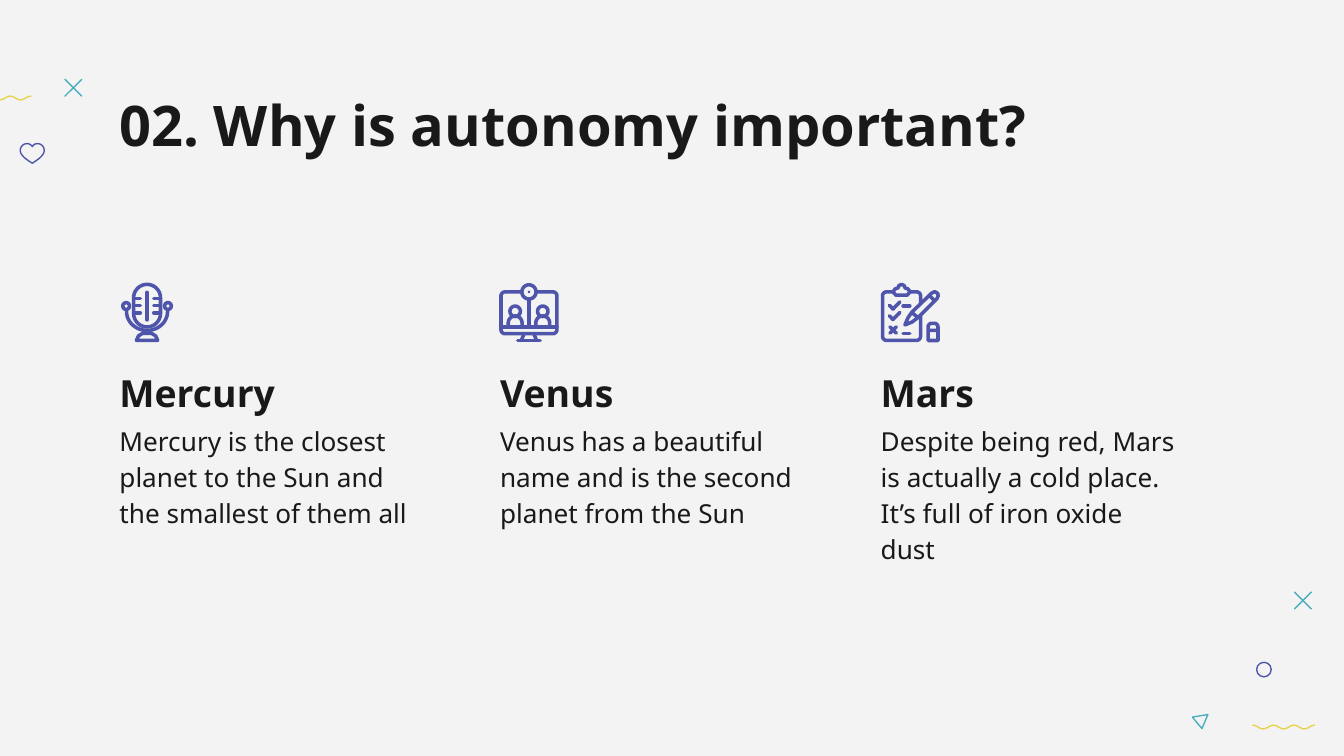
import math

import pptx
import pptx.dml.color
import pptx.enum.shapes
import pptx.enum.text
import pptx.oxml.ns
import pptx.util
from lxml import etree

Pt = pptx.util.Pt
Anchor = pptx.enum.text.MSO_ANCHOR
BACKGROUND, INK = "F3F3F3", "191919"
VIOLET, TEAL, YELLOW = "4F55AB", "4AAEBF", "E8D24F"


def rgb(hex_colour):
    return pptx.dml.color.RGBColor.from_string(hex_colour)


def arc(centre_x, centre_y, radius_x, radius_y, start, end, steps=24):
    """Points on an ellipse; angles in degrees, clockwise from the right."""
    angles = [math.radians(start + (end - start) * i / steps) for i in range(steps + 1)]
    return [(centre_x + radius_x * math.cos(a), centre_y + radius_y * math.sin(a))
            for a in angles]


def ring(x, y, radius):
    return arc(x, y, radius, radius, 0, 360)


def rounded_frame(x, y, width, height, radius, gap=0, steps=12):
    """Clockwise from the top middle, leaving half a gap on each side of it."""
    middle, right, bottom = x + width / 2, x + width - radius, y + height - radius
    corners = [(right, y + radius), (right, bottom), (x + radius, bottom), (x + radius, y + radius)]
    points = [(middle + gap / 2, y)]
    for index, corner in enumerate(corners):
        points += arc(*corner, radius, radius, 90 * index - 90, 90 * index, steps)
    return points + [(middle - gap / 2, y)]


def bezier(a, b, c, d, steps=8):
    def mix(t, axis):
        s = 1 - t
        return s**3 * a[axis] + 3 * s * s * t * b[axis] + 3 * s * t * t * c[axis] + t**3 * d[axis]
    return [(mix(i / steps, 0), mix(i / steps, 1)) for i in range(steps + 1)]


class Painter:
    font = "Noto Sans"

    def __init__(self, slide):
        self.slide, self.shapes = slide, slide.shapes
        self.left, self.top = 0, 0
        self.weight, self.colour = 0.75, VIOLET

    def begin_icon(self, left, top):
        """Later shapes join a new group, measured from left and top."""
        self.shapes = self.slide.shapes.add_group_shape().shapes
        self.left, self.top = left, top
        self.weight, self.colour = 1.9, VIOLET

    def place(self, x, y):
        return Pt(self.left + x), Pt(self.top + y)

    def stroke(self, shape):
        shape.line.color.rgb = rgb(self.colour)
        shape.line.width = Pt(self.weight)
        line = shape.line._get_or_add_ln()
        line.set("cap", "rnd")
        etree.SubElement(line, pptx.oxml.ns.qn("a:round"))

    def line(self, x1, y1, x2, y2):
        connector = self.shapes.add_connector(
            pptx.enum.shapes.MSO_CONNECTOR.STRAIGHT, *self.place(x1, y1), *self.place(x2, y2))
        self.stroke(connector)
        etree.SubElement(connector._element.spPr, pptx.oxml.ns.qn("a:effectLst"))

    def outline(self, *contours, closed=False):
        """One unfilled shape made of one or more contours."""
        builder = None
        for contour in contours:
            first, *others = [self.place(*point) for point in contour]
            if builder is None:
                builder = self.shapes.build_freeform(*first)
            else:
                builder.move_to(*first)
            builder.add_line_segments(others, close=closed)
        shape = builder.convert_to_shape()
        shape.shadow.inherit = False
        shape.fill.background()
        self.stroke(shape)

    def circle(self, x, y, radius):
        shape = self.shapes.add_shape(pptx.enum.shapes.MSO_SHAPE.OVAL,
                                      *self.place(x - radius, y - radius), Pt(2 * radius), Pt(2 * radius))
        shape.shadow.inherit = False
        shape.fill.background()
        self.stroke(shape)

    def cross(self, x, y, half):
        self.line(x - half, y - half, x + half, y + half)
        self.line(x + half, y - half, x - half, y + half)

    def wave(self, x, y):
        period, periods, steps = 11.04, 3, 16
        self.outline([(x + period * i / steps, y - math.cos(2 * math.pi * i / steps))
                      for i in range(periods * steps + 1)])

    def text(self, words, left, top, width, height, size, bold=False,
             spacing=1.0, anchor=Anchor.TOP):
        box = self.slide.shapes.add_textbox(Pt(left), Pt(top), Pt(width), Pt(height))
        frame = box.text_frame
        frame.word_wrap = True
        frame.vertical_anchor = anchor
        frame.margin_left = frame.margin_right = Pt(7.2)
        frame.margin_top = frame.margin_bottom = Pt(7.2)
        paragraph = frame.paragraphs[0]
        paragraph.line_spacing = spacing
        run = paragraph.add_run()
        run.text = words
        run.font.name, run.font.size, run.font.bold = self.font, Pt(size), bold
        run.font.color.rgb = rgb(INK)


def draw_microphone(painter):
    middle = 14
    base = [(8.3, 31), (9.4, 28.6), (11.5, 27.3), (16.5, 27.3), (18.6, 28.6), (19.7, 31), (8.3, 31)]
    contours = [rounded_frame(6.8, 1, 14.4, 22.8, 7.2), arc(middle, 15.5, 11, 10.2, 0, 180), base]
    for side in (-1, 1):
        contours.append(ring(middle + side * 11.2, 12.6, 1.8))
        contours += [[(middle + side * 7.2, y), (middle + side * 3.6, y)] for y in (8.6, 12.4, 16.2)]
    painter.outline(*contours)
    painter.line(middle, 5.2, middle, 20)


def draw_video_call(painter):
    middle = 16
    contours = [rounded_frame(1, 5, 30, 22.4, 2.2, gap=7.6), ring(middle, 5, 3.8),
                [(1, 23.8), (31, 23.8)], [(middle, 8.8), (middle, 23.8)], [(10, 31), (22, 31)]]
    for side in (-1, 1):
        person = middle + side * 7.4
        contours += [
            ring(person, 15.4, 2.8),
            [(person - 3.7, 23.8), *arc(person, 21.6, 3.7, 3.7, 180, 360), (person + 3.7, 23.8)],
            [(middle + side * 2.6, 27.4), (middle + side * 4.1, 31)]]
    painter.outline(*contours)
    # Camera lens
    painter.weight = 0.9
    painter.circle(middle, 5, 0.2)


def draw_checklist(painter):
    # Board, open behind the pen and the clip
    steps = 12
    board = rounded_frame(1, 5, 20.4, 26, 2.2, gap=9.2, steps=steps)
    corner_end = steps + 2
    clip = [(8.2, 6.8), (6.6, 5), (7.8, 3.4), (9.3, 2.9), (9.8, 1.6), (11.2, 1), (12.6, 1.6),
            (13.1, 2.9), (14.6, 3.4), (15.8, 5), (14.2, 6.8), (8.2, 6.8)]
    pen = [(13, 22.7), (14.6, 19), (16.6, 16), (27.4, 5.6), (29, 4.9), (30.6, 5.8), (30.8, 7.2),
           (30.2, 8.6), (20, 18.8), (16.8, 21.2), (13, 22.7)]
    painter.outline(board[:corner_end] + [(21.4, 11.4)], [(21.4, 17.5)] + board[corner_end:], clip,
                    pen, [(16.6, 16), (20, 18.8)], [(26.1, 6.9), (28.8, 9.6)])
    # Eraser
    painter.outline([(25.4, 25.6), (25.4, 31), (30.7, 31), (30.7, 25.6), (25.4, 25.6),
                     *arc(27.4, 23.8, 2, 2, 180, 270), *arc(28.7, 23.8, 2, 2, 270, 360), (30.7, 25.6)])
    # Marks
    for y in (12.2, 17.8):
        painter.outline([(4.7, y), (6.6, y + 2), (10.3, y - 1.8)])
    painter.outline([(5, 23.7), (8.4, 27.1)], [(8.4, 23.7), (5, 27.1)])
    for y in (12.5, 27.4):
        painter.line(12, y, 15.6, y)


def draw_decorations(painter):
    # Heart, mirrored about its middle
    middle = 17.3
    half = (bezier((middle, 78.6), (17.9, 77.6), (18.9, 77), (20.1, 77))
            + bezier((20.1, 77), (22.1, 77), (23.7, 78.6), (23.7, 80.6))
            + bezier((23.7, 80.6), (23.7, 81.7), (23.2, 83.6), (19.3, 86.2)) + [(middle, 87.5)])
    painter.outline(half + [(2 * middle - x, y) for x, y in reversed(half[1:-1])], closed=True)
    painter.circle(677.1, 358.7, 3.9)
    painter.colour = TEAL
    painter.cross(39.3, 47, 4.5)
    painter.cross(698, 321.7, 4.5)
    painter.outline([(647.1, 382.8), (638.8, 384.2), (643.9, 390.3)], closed=True)
    painter.colour = YELLOW
    painter.wave(-16.56, 52.5)
    painter.wave(671.2, 389.5)


def main():
    presentation = pptx.Presentation()
    presentation.slide_width, presentation.slide_height = Pt(720), Pt(405)
    slide = presentation.slides.add_slide(presentation.slide_layouts[6])
    slide.background.fill.solid()
    slide.background.fill.fore_color.rgb = rgb(BACKGROUND)
    painter = Painter(slide)

    draw_decorations(painter)
    painter.text("02. Why is autonomy important?", 56.9, 41.4, 607, 52.6, 30, bold=True)

    # Three columns: heading, description, icon with its inset
    columns = [
        ("Mercury", "Mercury is the closest planet to the Sun and the smallest of them all",
         draw_microphone, 7.9),
        ("Venus", "Venus has a beautiful name and is the second planet from the Sun",
         draw_video_call, 6.6),
        ("Mars", "Despite being red, Mars is actually a cold place. It’s full of iron oxide dust",
         draw_checklist, 7.1),
    ]
    for index, (heading, description, draw_icon, inset) in enumerate(columns):
        left = 56.9 + 203.9 * index
        painter.text(description, left, 218.2, 174.2, 79.9, 14, spacing=1.15)
        painter.text(heading, left, 186.5, 174.2, 43.2, 20, True, 1.15, Anchor.BOTTOM)
        painter.begin_icon(left + inset, 151.4)
        draw_icon(painter)

    presentation.save("out.pptx")


if __name__ == "__main__":
    main()
